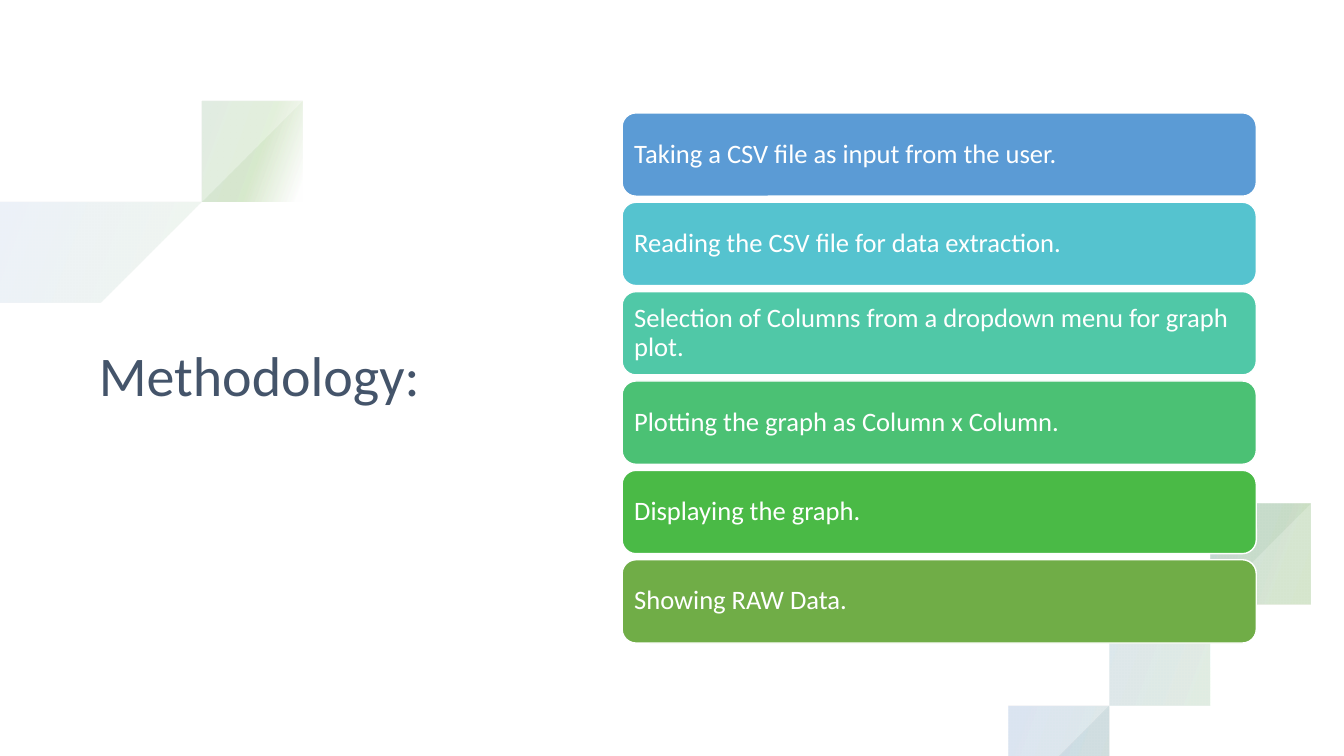
from math import dist
from lxml import etree
from pptx import Presentation, util as u
from pptx.dml.color import RGBColor
from pptx.enum import shapes, text
from pptx.oxml import parse_xml

WIDTH, HEIGHT = 13.33, 7.5
FONT = "Calibri"
DRAWING_NS = "http://schemas.openxmlformats.org/drawingml/2006/main"

STEPS = [
    ("Taking a CSV file as input from the user.", "5B9BD5"),
    ("Reading the CSV file for data extraction.", "55C3CF"),
    ("Selection of Columns from a dropdown menu for graph plot.", "50C8A7"),
    ("Plotting the graph as Column x Column.", "4BC174"),
    ("Displaying the graph.", "4ABA46"),
    ("Showing RAW Data.", "70AD47"),
]

# Ribbon bands: (outer edge, inner edge), as points the edges pass through
TOP_RIM = [(3.46, 0), (3.11, 1.06), (2.44, 1.77), (1.54, 2.24), (.53, 2.41),
           (0, 2.35)]
TOP_RIBBON = [
    (TOP_RIM, [(0, 1.81), (.53, 1.88), (1.41, 1.72), (2.18, 1.29), (2.72, .66),
               (2.91, 0)]),
    (TOP_RIM, [(0, 1.9), (.53, 1.97), (1.44, 1.81), (2.24, 1.35), (2.8, .7),
               (3, 0)]),
    ([(3.46, 0), (3.26, .86), (2.68, 1.62), (1.87, 2.15), (.91, 2.41),
      (0, 2.37)],
     [(0, 2.14), (.88, 2.18), (1.76, 1.94), (2.53, 1.46), (3.09, .78),
      (3.31, 0)]),
    ([(3.48, 0), (3.29, .84), (2.76, 1.68), (1.95, 2.3), (.94, 2.6),
      (0, 2.51)],
     [(0, 2.35), (.91, 2.38), (1.83, 2.1), (2.63, 1.56), (3.23, .81),
      (3.45, 0)]),
]
BOTTOM_RIM = [(10.36, 7.5), (10.87, 6.55), (11.52, 5.93), (12.33, 5.46),
              (13.33, 5.18)]
BOTTOM_RIBBON = [
    ([(10.34, 7.5), (10.76, 6.52), (11.59, 5.61), (12.13, 5.27), (13.33, 4.91)],
     [(13.33, 5.18), (12.27, 5.52), (11.29, 6.17), (10.88, 6.6), (10.4, 7.5)]),
    (BOTTOM_RIM, [(13.33, 5.83), (12.79, 5.97), (11.84, 6.51), (11.18, 7.27),
                  (11.08, 7.5)]),
    ([(10.35, 7.5), (10.52, 7.03), (11.23, 6.11), (12.22, 5.45), (13.33, 5.14)],
     [(13.33, 5.43), (12.36, 5.72), (11.42, 6.3), (10.73, 7.13), (10.57, 7.5)]),
    (BOTTOM_RIM, [(13.33, 5.72), (12.75, 5.88), (11.76, 6.43), (11.08, 7.23),
                  (10.96, 7.5)]),
]


def color(hex_string):
    return RGBColor.from_string(hex_string)


def write(shape, words, *, size, hex_color, inset=.1):
    frame = shape.text_frame
    frame.word_wrap = True
    frame.auto_size = text.MSO_AUTO_SIZE.NONE
    frame.vertical_anchor = text.MSO_ANCHOR.MIDDLE
    frame.margin_left = frame.margin_right = u.Inches(inset)
    frame.margin_top = frame.margin_bottom = u.Inches(min(inset, .08))
    paragraph = frame.paragraphs[0]
    paragraph.alignment = text.PP_ALIGN.LEFT
    paragraph.line_spacing = .9
    run = paragraph.add_run()
    run.text = words
    run.font.name, run.font.size = FONT, u.Pt(size)
    run.font.color.rgb = color(hex_color)


def smooth(knots, spacing=.33):
    """Evenly spaced points along a smooth curve through the knots."""
    spans = [dist(a, b) for a, b in zip(knots, knots[1:])]
    last = len(knots) - 1
    slopes = []
    for i in range(last + 1):
        before, after = max(i - 1, 0), min(i + 1, last)
        length = sum(spans[before:after])
        slopes.append([(b - a) / length
                       for a, b in zip(knots[before], knots[after])])
    points = [knots[0]]
    for i, span in enumerate(spans):
        samples = max(1, round(span / spacing))
        for step in range(1, samples + 1):
            t = step / samples
            ease = t * t * (3 - 2 * t)
            leave, arrive = span * t * (1 - t) ** 2, span * t * t * (t - 1)
            points.append(tuple(
                a + (b - a) * ease + m * leave + n * arrive
                for a, b, m, n in zip(knots[i], knots[i + 1],
                                      slopes[i], slopes[i + 1])))
    return points


def fill_band(band):
    """Faint green-to-blue gradient."""
    stops = [(2, "FFFFFF"), (16, "70AD47"), (85, "4472C4"), (100, "FFFFFF")]
    stop_xml = "".join(
        f'<a:gs pos="{share * 1000}"><a:srgbClr val="{tint}">'
        '<a:alpha val="10000"/></a:srgbClr></a:gs>' for share, tint in stops)
    gradient = parse_xml(
        f'<a:gradFill xmlns:a="{DRAWING_NS}" rotWithShape="1"><a:gsLst>{stop_xml}'
        f'</a:gsLst><a:lin ang="{200 * 60000}" scaled="0"/></a:gradFill>')
    outline = band._element.spPr.find(etree.QName(DRAWING_NS, "custGeom"))
    outline.addnext(gradient)


def add_ribbon(slide, bands):
    for outer, inner in bands:
        start, *rest = smooth(outer) + smooth(inner)
        builder = slide.shapes.build_freeform(*start, scale=u.Inches(1))
        builder.add_line_segments(rest, close=True)
        band = builder.convert_to_shape()
        band.shadow.inherit = False
        band.line.fill.background()
        fill_band(band)


def add_title(slide, words, left, top, width, height):
    title = slide.shapes.title
    title.left, title.top = u.Inches(left), u.Inches(top)
    title.width, title.height = u.Inches(width), u.Inches(height)
    write(title, words, size=40, hex_color="44546A")


def add_steps(slide, steps, left, top, width, height, gap=.06):
    pitch = (height + gap) / len(steps)
    for row, (words, fill) in enumerate(steps):
        card = slide.shapes.add_shape(
            shapes.MSO_SHAPE.ROUNDED_RECTANGLE, u.Inches(left),
            u.Inches(top + row * pitch), u.Inches(width), u.Inches(pitch - gap))
        card.shadow.inherit = False
        card.fill.solid()
        card.fill.fore_color.rgb = color(fill)
        card.line.color.rgb = color("FFFFFF")
        card.line.width = u.Pt(1)
        write(card, words, size=19, hex_color="FFFFFF", inset=.08)


def main():
    deck = Presentation()
    deck.slide_width, deck.slide_height = u.Inches(WIDTH), u.Inches(HEIGHT)
    slide = deck.slides.add_slide(deck.slide_layouts.get_by_name("Title Only"))
    slide.background.fill.solid()
    slide.background.fill.fore_color.rgb = color("FFFFFF")

    add_title(slide, "Methodology:", .88, 1.69, 3.72, 4.13)
    # Corner ribbons
    for bands in (TOP_RIBBON, BOTTOM_RIBBON):
        add_ribbon(slide, bands)
    # Stacked process steps
    add_steps(slide, STEPS, 6.17, 1.12, 6.29, 5.26)
    deck.save("out.pptx")


if __name__ == "__main__":
    main()
